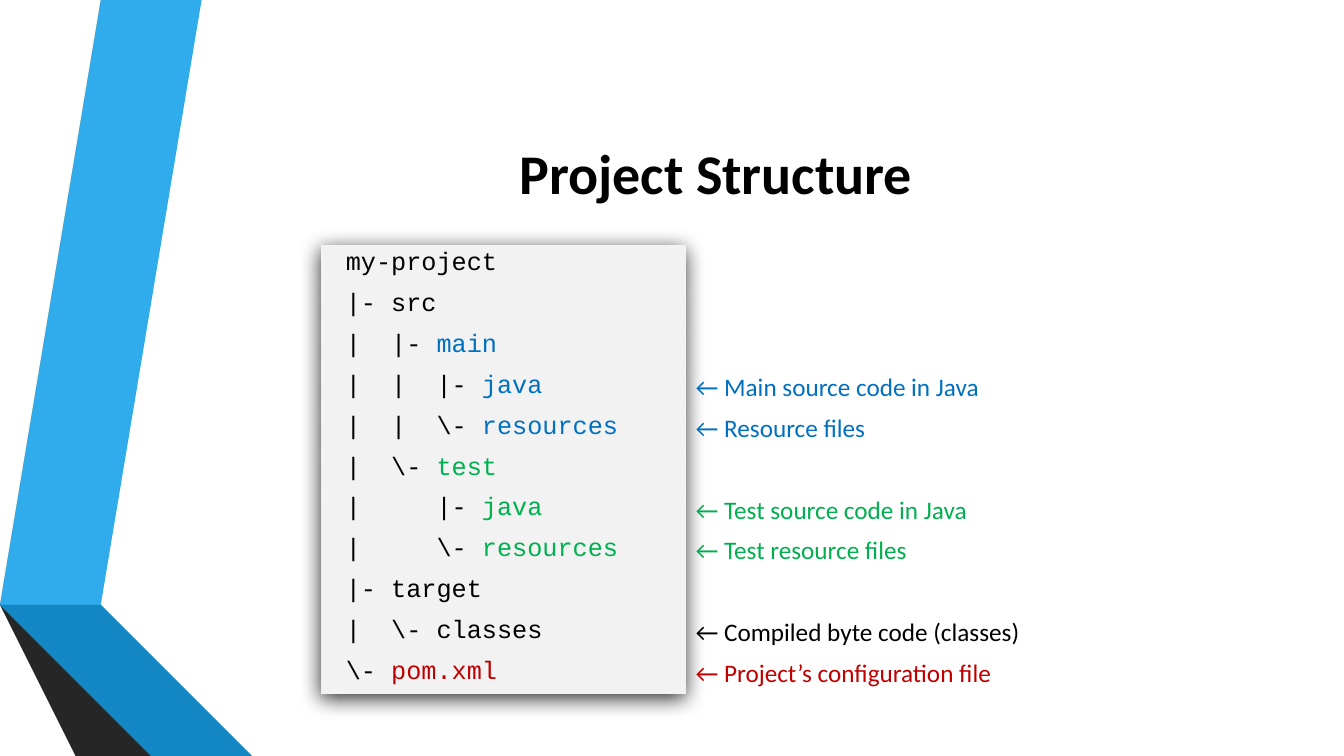
import pptx
import pptx.dml.color
import pptx.enum.text
import pptx.oxml
import pptx.util
from pptx.util import Inches

BLACK, BLUE, GREEN, RED = "000000", "0070C0", "00B050", "C00000"
PANEL = "F2F2F2"
NO_TABLE_STYLE = "{2D5ABB26-0587-4C30-8999-92F81FD0307C}"
NAMESPACE = "http://schemas.openxmlformats.org/drawingml/2006/main"

# Ribbon at the left edge: fill and outline points in inches
RIBBON = [
    ("30ACEC", [(0.5, 5.78), (0.77, 5.83), (1.73, 0), (1.45, 0)]),
    ("595959", [(1.39, 0), (1.11, 0), (0.16, 5.73), (0.44, 5.77)]),
    ("262626", [(0.16, 5.73), (1.45, 7.5), (1.51, 7.5)]),
    ("0C5A82", [(0.5, 5.79), (2.08, 7.5), (2.14, 7.5)]),
    ("1287C3", [(0.5, 5.78), (2.14, 7.5), (2.83, 7.5), (0.77, 5.83)]),
    ("404040", [(2.02, 7.5), (0.48, 5.83), (0.44, 5.77), (0.16, 5.73), (1.51, 7.5)]),
]

# Project tree: branch, name, colour of the name, explanation
TREE = [
    (" ", "my-project", BLACK, ""),
    (" |- ", "src", BLACK, ""),
    (" |  |- ", "main", BLUE, ""),
    (" |  |  |- ", "java", BLUE, "Main source code in Java"),
    (" |  |  \\- ", "resources", BLUE, "Resource files"),
    (" |  \\- ", "test", GREEN, ""),
    (" |     |- ", "java", GREEN, "Test source code in Java"),
    (" |     \\- ", "resources", GREEN, "Test resource files"),
    (" |- ", "target", BLACK, ""),
    (" |  \\- ", "classes", BLACK, "Compiled byte code (classes)"),
    (" \\- ", "pom.xml", RED, "Project’s configuration file"),
]


def color(value):
    return pptx.dml.color.RGBColor.from_string(value)


def set_fill(target, value):
    target.fill.solid()
    target.fill.fore_color.rgb = color(value)


def add_text(paragraph, text, font="Calibri", size=18, fill=BLACK, bold=False):
    run = paragraph.add_run()
    run.text = text
    run.font.name = font
    run.font.size = pptx.util.Pt(size)
    run.font.bold = bold
    run.font.color.rgb = color(fill)


def add_polygon(slide, fill, points):
    builder = slide.shapes.build_freeform(*points[0], scale=Inches(1))
    builder.add_line_segments(points[1:], close=True)
    shape = builder.convert_to_shape()
    shape.shadow.inherit = False
    set_fill(shape, fill)
    shape.line.fill.background()


def add_title(slide, text):
    box = slide.shapes.add_textbox(Inches(1.62), Inches(0.75), Inches(10.96), Inches(1.92))
    frame = box.text_frame
    frame.word_wrap = True
    frame.vertical_anchor = pptx.enum.text.MSO_ANCHOR.MIDDLE
    paragraph = frame.paragraphs[0]
    paragraph.alignment = pptx.enum.text.PP_ALIGN.CENTER
    add_text(paragraph, text, size=40, bold=True)


def style_table(table):
    """Drop the banded style and add a soft shadow."""
    table.first_row = table.horz_banding = False
    properties = table._tbl.tblPr
    properties.find(f"{{{NAMESPACE}}}tableStyleId").text = NO_TABLE_STYLE
    properties.insert(0, pptx.oxml.parse_xml(
        f'<a:effectLst xmlns:a="{NAMESPACE}">'
        '<a:outerShdw blurRad="190500" dist="38100" dir="5400000" algn="t" rotWithShape="0">'
        '<a:srgbClr val="000000"><a:alpha val="80000"/></a:srgbClr>'
        '</a:outerShdw></a:effectLst>'))


def add_tree_table(slide, entries):
    frame = slide.shapes.add_table(
        len(entries), 2, Inches(3.18), Inches(2.43), Inches(7.83), Inches(4.46))
    table = frame.table
    style_table(table)
    for column, width in zip(table.columns, (3.62, 4.21)):
        column.width = Inches(width)
    for index, (branch, name, name_color, note) in enumerate(entries):
        tree_cell, note_cell = table.cell(index, 0), table.cell(index, 1)
        set_fill(tree_cell, PANEL)
        note_cell.fill.background()
        paragraph = tree_cell.text_frame.paragraphs[0]
        add_text(paragraph, branch, font="Courier New")
        add_text(paragraph, name, font="Courier New", fill=name_color)
        if note:
            add_text(note_cell.text_frame.paragraphs[0], f"← {note}", fill=name_color)


def main():
    presentation = pptx.Presentation()
    presentation.slide_width = Inches(13.33)
    presentation.slide_height = Inches(7.5)
    slide = presentation.slides.add_slide(presentation.slide_layouts[6])

    for fill, points in RIBBON:
        add_polygon(slide, fill, points)
    add_title(slide, "Project Structure")
    add_tree_table(slide, TREE)

    presentation.save("out.pptx")


main()
